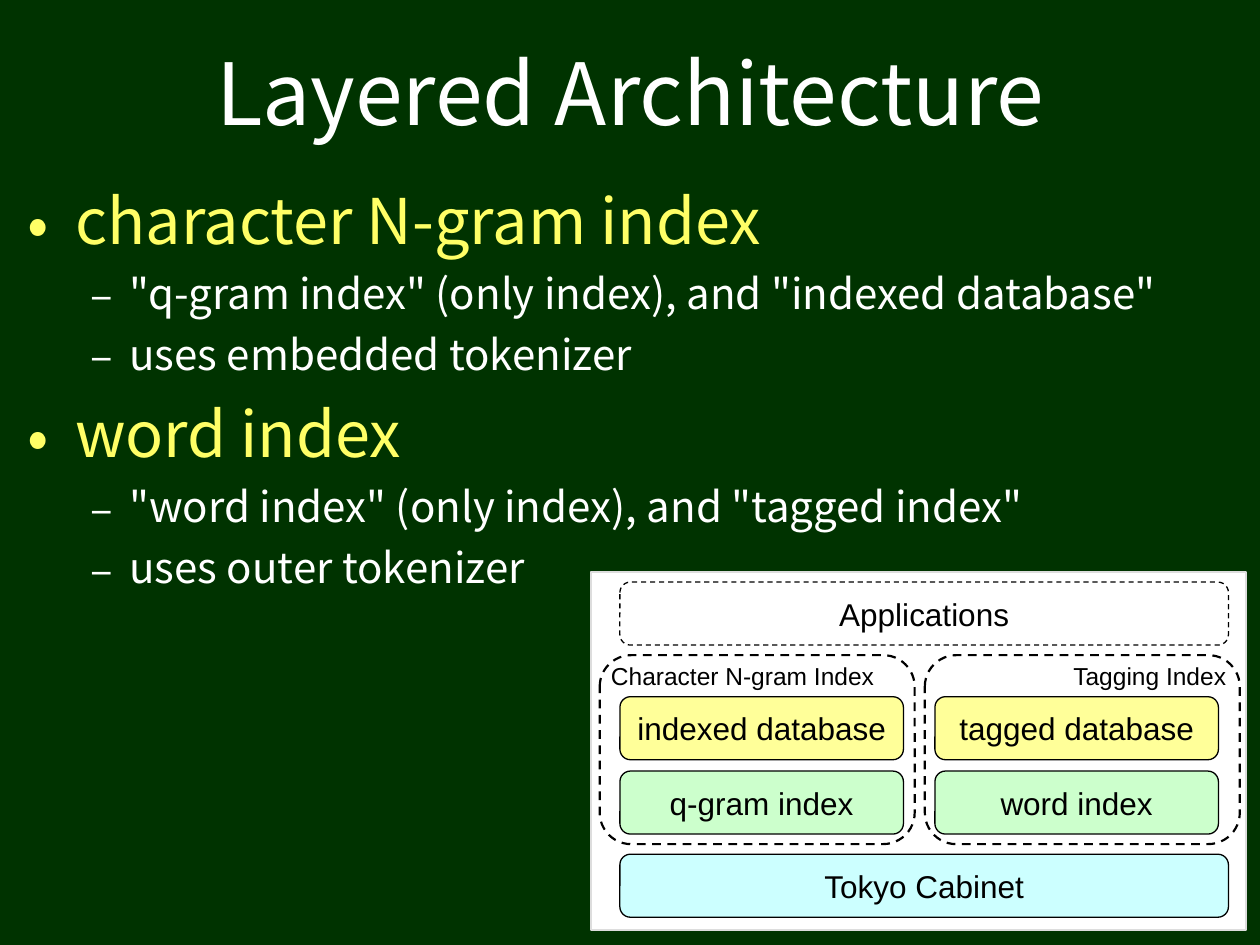
"""Build the Layered Architecture slide: index bullets and a layer diagram."""
from lxml.etree import SubElement
from pptx import Presentation
from pptx.dml.color import RGBColor
from pptx.enum.dml import MSO_LINE_DASH_STYLE as Dash
from pptx.enum.shapes import MSO_SHAPE as Shape
from pptx.enum.text import MSO_ANCHOR as Anchor, MSO_AUTO_SIZE as AutoSize, PP_ALIGN as Align
from pptx.oxml.ns import qn
from pptx.util import Inches, Pt

COLORS = {
    "background": "003300", "white": "FFFFFF", "heading": "FFFF66", "black": "000000",
    "border": "DDDDDD", "storage": "CCFFFF", "index": "CCFFCC", "database": "FFFF99",
}
SLIDE_FONT, DIAGRAM_FONT = "Noto Sans CJK JP", "Arial"


def write(paragraph, text, size=18, font=DIAGRAM_FONT, color="black", align=Align.CENTER):
    """Put formatted text into a paragraph."""
    paragraph.alignment = align
    run = paragraph.add_run()
    run.text = text
    run.font.size = Pt(size)
    run.font.name = font
    run.font.color.rgb = RGBColor.from_string(COLORS[color])
    for tag in ("a:ea", "a:cs"):
        SubElement(run.font._element, qn(tag), typeface=font)


def add_box(left, top, width, height, text="", fill=None, line="black", weight=0.75,
            dash=None, kind=Shape.ROUNDED_RECTANGLE):
    """Add a diagram box with an optional centred label."""
    shape = slide.shapes.add_shape(kind, Inches(left), Inches(top), Inches(width), Inches(height))
    shape.shadow.inherit = False
    if fill:
        shape.fill.solid()
        shape.fill.fore_color.rgb = RGBColor.from_string(COLORS[fill])
    else:
        shape.fill.background()
    shape.line.color.rgb = RGBColor.from_string(COLORS[line])
    shape.line.width = Pt(weight)
    if dash:
        shape.line.dash_style = dash
    if text:
        shape.text_frame.word_wrap = False
        shape.text_frame.vertical_anchor = Anchor.MIDDLE
        write(shape.text_frame.paragraphs[0], text)


presentation = Presentation()
presentation.slide_width, presentation.slide_height = Inches(10), Inches(7.5)
slide = presentation.slides.add_slide(presentation.slide_layouts[5])
slide.background.fill.solid()
slide.background.fill.fore_color.rgb = RGBColor.from_string(COLORS["background"])

title = slide.shapes.title
title.left, title.top, title.width, title.height = map(Inches, (0.12, 0.13, 9.76, 1.18))
title.text_frame.auto_size = AutoSize.NONE
title.text_frame.vertical_anchor = Anchor.MIDDLE
write(title.text_frame.paragraphs[0], "Layered Architecture", size=49, font=SLIDE_FONT, color="white")

LEVELS = [
    {"size": 36, "color": "heading", "bullet": "•", "margin": 0.38, "hang": 0.38, "before": 9},
    {"size": 24, "color": "white", "bullet": "–", "margin": 0.81, "hang": 0.31, "before": 6},
]
BULLETS = [
    (0, "character N-gram index"),
    (1, '"q-gram index" (only index), and "indexed database"'),
    (1, "uses embedded tokenizer"),
    (0, "word index"),
    (1, '"word index" (only index), and "tagged index"'),
    (1, "uses outer tokenizer"),
]
body = slide.shapes.add_textbox(*map(Inches, (0.12, 1.39, 9.76, 5.99))).text_frame
body.word_wrap = True
for number, (level, text) in enumerate(BULLETS):
    style = LEVELS[level]
    paragraph = body.add_paragraph() if number else body.paragraphs[0]
    paragraph.level = level
    paragraph.space_before = Pt(style["before"])
    write(paragraph, text, size=style["size"], font=SLIDE_FONT, color=style["color"], align=Align.LEFT)
    properties = paragraph._p.get_or_add_pPr()
    properties.set("marL", str(Inches(style["margin"])))
    properties.set("indent", str(-Inches(style["hang"])))
    bullet_color = SubElement(properties, qn("a:buClr"))
    SubElement(bullet_color, qn("a:srgbClr"), val=COLORS[style["color"]])
    SubElement(properties, qn("a:buFont"), typeface=SLIDE_FONT)
    SubElement(properties, qn("a:buChar"), char=style["bullet"])

LEFT, FULL_WIDTH, ROW_HEIGHT = 4.92, 4.83, 0.5
COLUMN_WIDTH, COLUMN_STEP = 2.25, 2.5
add_box(4.69, 4.54, 5.2, 2.84, fill="white", line="border", weight=1, kind=Shape.RECTANGLE)
add_box(LEFT, 4.62, FULL_WIDTH, ROW_HEIGHT, "Applications", dash=Dash.DASH)
add_box(LEFT, 6.78, FULL_WIDTH, ROW_HEIGHT, "Tokyo Cabinet", fill="storage")

GROUPS = [
    ("Character N-gram Index", 4.76, 4.75, 2.29, "indexed database", "q-gram index"),
    ("Tagging Index", 7.34, 8.42, 1.43, "tagged database", "word index"),
]
for column, (name, group_left, name_left, name_width, database, index) in enumerate(GROUPS):
    left = LEFT + column * COLUMN_STEP
    add_box(left, 5.53, COLUMN_WIDTH, ROW_HEIGHT, database, fill="database")
    add_box(left, 6.12, COLUMN_WIDTH, ROW_HEIGHT, index, fill="index")
    add_box(group_left, 5.2, 2.5, 1.5, weight=1.25, dash=Dash.DASH)
    label = slide.shapes.add_textbox(*map(Inches, (name_left, 5.2, name_width, 0.34))).text_frame
    label.word_wrap = False
    write(label.paragraphs[0], name, size=14, align=Align.LEFT)

presentation.save("out.pptx")
